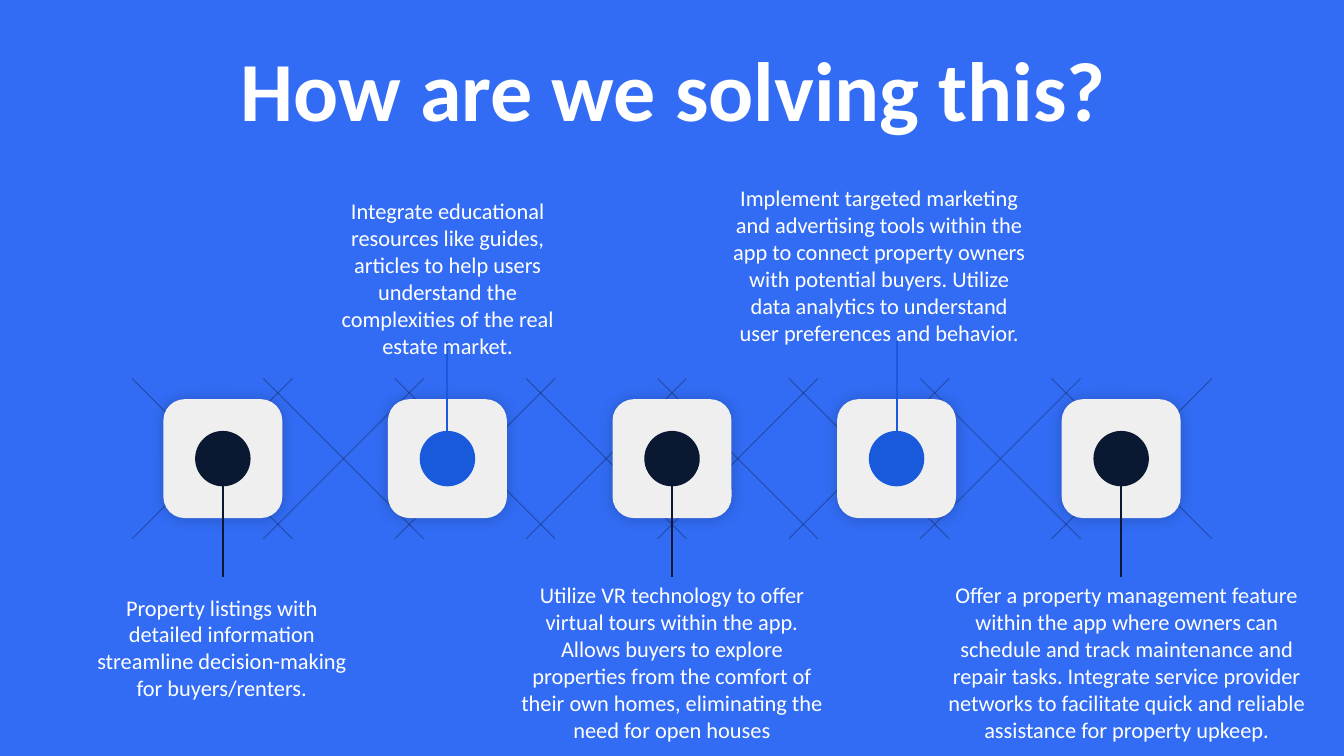
import dataclasses

import pptx
import pptx.dml.color
import pptx.enum.shapes
import pptx.enum.text
import pptx.oxml
import pptx.oxml.ns
import pptx.util
from pptx.util import Inches

SHAPE = pptx.enum.shapes.MSO_SHAPE
DRAWING = pptx.oxml.ns.nsdecls("a")


@dataclasses.dataclass(frozen=True)
class Theme:
    background: str = "326CF4"
    tile: str = "EFEFEF"
    navy: str = "0A1931"
    blue: str = "185ADB"
    text: str = "FFFFFF"
    shadow: str = "000000"
    font: str = "Calibri"
    title_size: int = 60
    body_size: int = 16
    lattice_width: float = 0.75
    stem_width: float = 1.5


def rgb(code):
    return pptx.dml.color.RGBColor.from_string(code)


class SlideBuilder:
    def __init__(self, slide, theme):
        self.slide = slide
        self.theme = theme
        slide.background.fill.solid()
        slide.background.fill.fore_color.rgb = rgb(theme.background)

    def line(self, start, end, color, width, opacity=100):
        line = self.slide.shapes.add_connector(
            pptx.enum.shapes.MSO_CONNECTOR.STRAIGHT,
            *(Inches(value) for value in (*start, *end)))
        line.line.color.rgb = rgb(color)
        line.line.width = pptx.util.Pt(width)
        properties = line._element.spPr
        if opacity < 100:
            tint = properties.find(".//" + pptx.oxml.ns.qn("a:srgbClr"))
            tint.append(pptx.oxml.parse_xml(
                f'<a:alpha {DRAWING} val="{opacity * 1000}"/>'))
        properties.append(pptx.oxml.parse_xml(f"<a:effectLst {DRAWING}/>"))

    def centered_shape(self, kind, center, size, color):
        x, y = center
        shape = self.slide.shapes.add_shape(
            kind, Inches(x - size / 2), Inches(y - size / 2),
            Inches(size), Inches(size))
        shape.shadow.inherit = False
        shape.fill.solid()
        shape.fill.fore_color.rgb = rgb(color)
        shape.line.fill.background()
        return shape

    def tile(self, center, size):
        tile = self.centered_shape(
            SHAPE.ROUNDED_RECTANGLE, center, size, self.theme.tile)
        tile.adjustments[0] = 0.18
        effects = tile._element.spPr.find(pptx.oxml.ns.qn("a:effectLst"))
        effects.append(pptx.oxml.parse_xml(
            f'<a:outerShdw {DRAWING} blurRad="{pptx.util.Pt(10)}" dist="0" '
            f'dir="0" algn="ctr" rotWithShape="0">'
            f'<a:srgbClr val="{self.theme.shadow}"><a:alpha val="20000"/>'
            f'</a:srgbClr></a:outerShdw>'))

    def dot(self, center, size, color):
        self.centered_shape(SHAPE.OVAL, center, size, color)

    def text(self, box, words, size, bold=False, wrap=True):
        frame = self.slide.shapes.add_textbox(
            *(Inches(value) for value in box)).text_frame
        frame.word_wrap = wrap
        frame.auto_size = pptx.enum.text.MSO_AUTO_SIZE.SHAPE_TO_FIT_TEXT
        paragraph = frame.paragraphs[0]
        paragraph.alignment = pptx.enum.text.PP_ALIGN.CENTER
        run = paragraph.add_run()
        run.text = words
        run.font.name = self.theme.font
        run.font.size = pptx.util.Pt(size)
        run.font.bold = bold
        run.font.color.rgb = rgb(self.theme.text)


SOLUTIONS = [
    ((0.84, 5.84, 2.72, 1.18),
     "Property listings with detailed information streamline "
     "decision-making for buyers/renters."),
    ((3.08, 1.91, 2.72, 1.45),
     "Integrate educational resources like guides, articles to help users "
     "understand the complexities of the real estate market."),
    ((5.03, 5.72, 3.27, 1.72),
     "Utilize VR technology to offer virtual tours within the app. Allows "
     "buyers to explore properties from the comfort of their own homes, "
     "eliminating the need for open houses"),
    ((7.14, 1.78, 3.16, 1.72),
     "Implement targeted marketing and advertising tools within the app to "
     "connect property owners with potential buyers. Utilize data analytics "
     "to understand user preferences and behavior."),
    ((9.29, 5.72, 3.77, 1.72),
     "Offer a property management feature within the app where owners can "
     "schedule and track maintenance and repair tasks. Integrate service "
     "provider networks to facilitate quick and reliable assistance for "
     "property upkeep."),
]

AXIS_Y = 4.55
STEM_LENGTH = 1.17
FIRST_STEP_X, LAST_STEP_X = 2.21, 11.12
CROSS_COUNT = 8
CROSS_SIZE = 1.59
LATTICE_LEFT, LATTICE_RIGHT = 1.31, 12.02


def main():
    presentation = pptx.Presentation()
    presentation.slide_width = Inches(13.33)
    presentation.slide_height = Inches(7.5)
    theme = Theme()
    builder = SlideBuilder(
        presentation.slides.add_slide(presentation.slide_layouts[6]), theme)

    cross_pitch = (LATTICE_RIGHT - LATTICE_LEFT - CROSS_SIZE) / (CROSS_COUNT - 1)
    top, bottom = AXIS_Y - CROSS_SIZE / 2, AXIS_Y + CROSS_SIZE / 2
    for index in range(CROSS_COUNT):
        left = LATTICE_LEFT + index * cross_pitch
        right = left + CROSS_SIZE
        for start_x, end_x in ((left, right), (right, left)):
            builder.line((start_x, top), (end_x, bottom),
                         theme.navy, theme.lattice_width, opacity=35)

    step_pitch = (LAST_STEP_X - FIRST_STEP_X) / (len(SOLUTIONS) - 1)
    for index, (box, words) in enumerate(SOLUTIONS):
        center = (FIRST_STEP_X + index * step_pitch, AXIS_Y)
        upward = index % 2 == 1
        color = theme.blue if upward else theme.navy
        stem_end = AXIS_Y + (-STEM_LENGTH if upward else STEM_LENGTH)
        builder.tile(center, 1.18)
        builder.dot(center, 0.55, color)
        builder.line(center, (center[0], stem_end), color, theme.stem_width)
        builder.text(box, words, theme.body_size)

    builder.text((2.1, 0.32, 9.16, 1.11), "How are we solving this?",
                 theme.title_size, bold=True, wrap=False)
    presentation.save("out.pptx")


if __name__ == "__main__":
    main()
